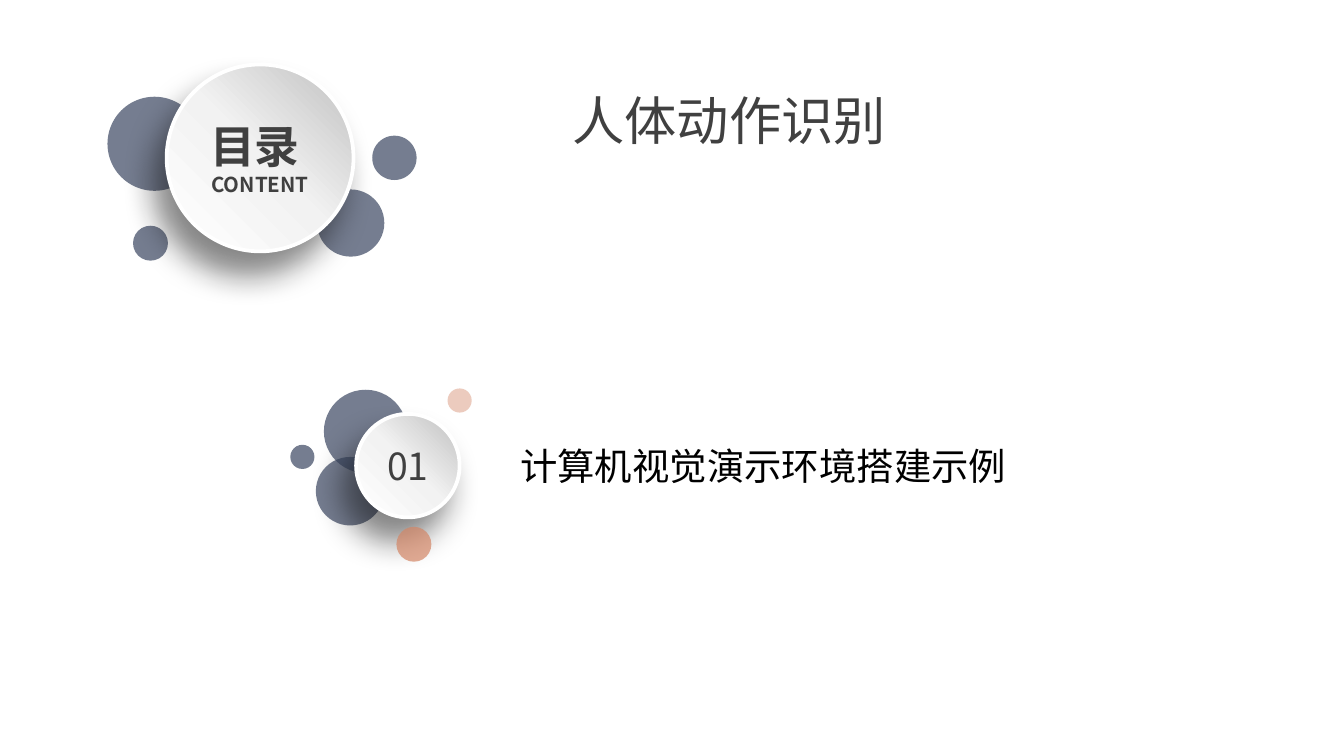
from lxml.etree import SubElement as Sub
from pptx import Presentation
from pptx.dml.color import RGBColor as RGB
from pptx.enum.shapes import MSO_SHAPE as Shape
from pptx.enum.text import MSO_ANCHOR as Anchor, MSO_AUTO_SIZE as Auto, PP_ALIGN as Align
from pptx.oxml.ns import qn
from pptx.util import Inches, Pt

FONT = "Noto Sans CJK SC"
NAVY = RGB(0x3B, 0x47, 0x61)
CORAL = RGB(0xD3, 0x86, 0x66)
PINK = RGB(0xE5, 0xB6, 0xA3)
GRAY = RGB(0x40, 0x40, 0x40)
BLACK = RGB(0, 0, 0)
WHITE = RGB(255, 255, 255)
DARK = RGB(0x0D, 0x0D, 0x0D)
STOPS = [(0, RGB(0xBF, 0xBF, 0xBF)), (50, RGB(0xF2, 0xF2, 0xF2)), (100, WHITE)]


def add_run(para, text, size, color, bold=False):
    run = para.add_run()
    run.text = text
    font = run.font
    font.name, font.size, font.bold = FONT, Pt(size), bold
    font.color.rgb = color
    font._element.find(qn("a:latin")).addnext(
        font._element.makeelement(qn("a:ea"), {"typeface": FONT}))


def add_color(parent, color, alpha=100):
    node = Sub(parent, qn("a:srgbClr"), val=str(color))
    if alpha < 100:
        Sub(node, qn("a:alpha"), val=str(alpha * 1000))


def add_disc(group, left, top, size):
    disc = group.shapes.add_shape(
        Shape.OVAL, Inches(left), Inches(top), Inches(size), Inches(size))
    disc.shadow.inherit = False
    return disc


def add_dot(group, left, top, size, color=NAVY):
    """A see-through flat circle."""
    dot = add_disc(group, left, top, size)
    dot.fill.solid()
    dot.fill.fore_color.rgb = color
    tint = dot._element.spPr.find(".//" + qn("a:srgbClr"))
    Sub(tint, qn("a:alpha"), val="70000")
    dot.line.fill.background()


def add_badge(group, left, top, size):
    """A shaded circle with a white rim and a soft shadow; gives its paragraph."""
    badge = add_disc(group, left, top, size)
    badge.fill.gradient()
    props = badge._element.spPr
    grad = props.find(qn("a:gradFill"))
    stops = grad.find(qn("a:gsLst"))
    for stop in list(stops):
        stops.remove(stop)
    for pos, color in STOPS:
        add_color(Sub(stops, qn("a:gs"), pos=str(pos * 1000)), color)
    grad.find(qn("a:lin")).set("ang", str(135 * 60000))
    badge.line.color.rgb = WHITE
    badge.line.width = Pt(2)
    shade = Sub(props.find(qn("a:effectLst")), qn("a:outerShdw"),
                blurRad=str(Pt(17)), dist=str(Pt(14)), dir=str(120 * 60000),
                algn="ctr", rotWithShape="0")
    add_color(shade, DARK, 50)
    frame = badge.text_frame
    frame.vertical_anchor = Anchor.MIDDLE
    para = frame.paragraphs[0]
    para.alignment = Align.CENTER
    return para


def set_line(frame, text, size, color, anchor):
    """Fill a frame with one left-aligned line that does not wrap."""
    frame.word_wrap = False
    frame.auto_size = Auto.NONE
    frame.vertical_anchor = anchor
    para = frame.paragraphs[0]
    para.alignment = Align.LEFT
    add_run(para, text, size, color)


def add_title(slide, box, text):
    title = slide.shapes.title
    title.left, title.top, title.width, title.height = map(Inches, box)
    set_line(title.text_frame, text, 28, GRAY, Anchor.TOP)


def add_label(group, box, text):
    frame = group.shapes.add_textbox(*map(Inches, box)).text_frame
    frame.margin_left = Inches(0.39)
    frame.margin_top = frame.margin_right = frame.margin_bottom = 0
    set_line(frame, text, 20, BLACK, Anchor.BOTTOM)


def main():
    deck = Presentation()
    deck.slide_width = Inches(10)
    deck.slide_height = deck.slide_width * 9 // 16
    slide = deck.slides.add_slide(deck.slide_layouts[5])

    # Title
    add_title(slide, (4.16, 0.61, 2.77, 0.67), "人体动作识别")

    # Agenda entry: number badge, dots and label
    item = slide.shapes.add_group_shape()
    add_dot(item, 2.35, 3.4, 0.51)
    add_dot(item, 2.41, 2.9, 0.62)
    para = add_badge(item, 2.65, 3.08, 0.77)
    add_run(para, "01", 20, GRAY)
    add_dot(item, 2.95, 3.92, 0.26, CORAL)
    add_dot(item, 2.16, 3.31, 0.18)
    add_dot(item, 3.33, 2.89, 0.18, PINK)
    add_label(item, (3.48, 3.43, 2.15, 0.2), "计算机视觉演示环境搭建示例")

    # Contents badge with its dots
    head = slide.shapes.add_group_shape()
    add_dot(head, 0.99, 1.68, 0.26)
    add_dot(head, 2.36, 1.41, 0.5)
    add_dot(head, 0.8, 0.72, 0.7)
    para = add_badge(head, 1.24, 0.48, 1.39)
    add_run(para, "目录 ", 24, GRAY, True)
    para.add_line_break()
    add_run(para, "CONTENT", 11, GRAY, True)
    add_dot(head, 2.77, 1.01, 0.33)

    deck.save("out.pptx")


if __name__ == "__main__":
    main()
